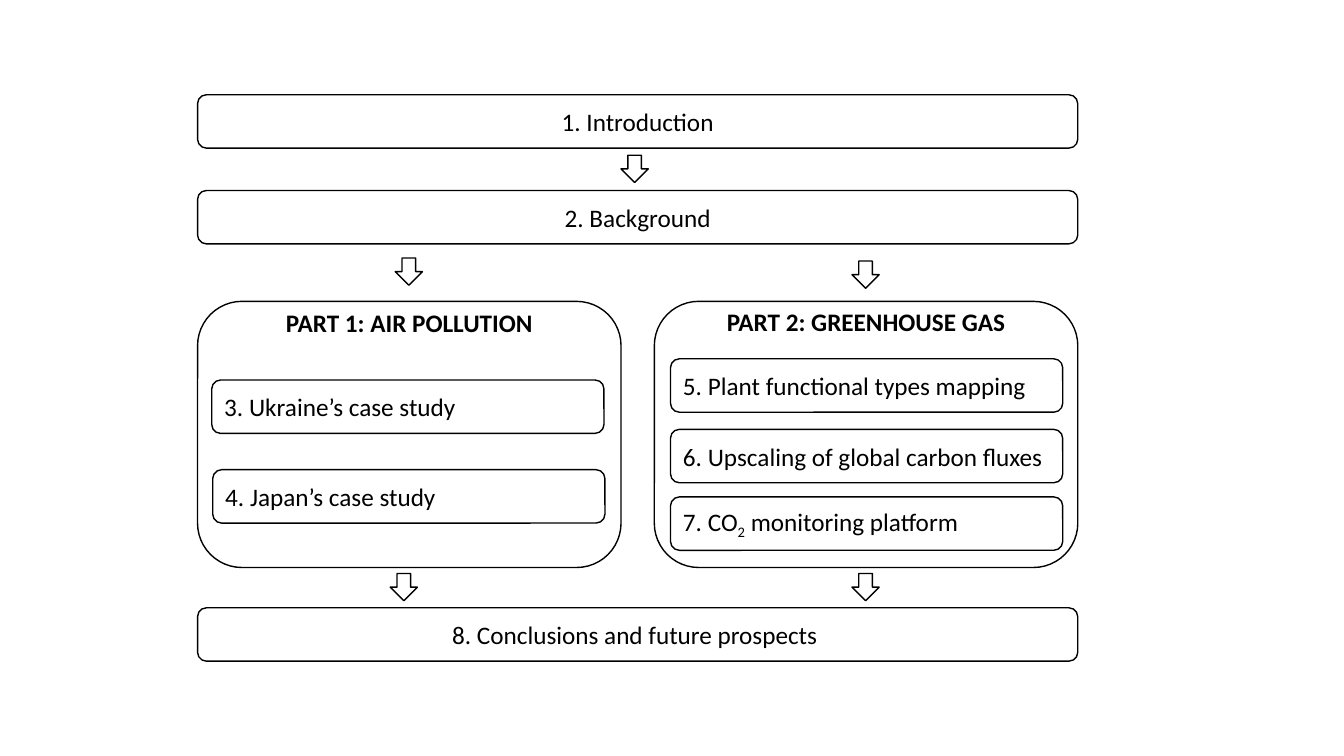
import pptx
import pptx.dml.color
import pptx.enum.shapes
import pptx.enum.text
import pptx.util

Inches = pptx.util.Inches
SHAPE = pptx.enum.shapes.MSO_SHAPE
ALIGN = pptx.enum.text.PP_ALIGN
ANCHOR = pptx.enum.text.MSO_ANCHOR
INK = "000000"
STEP_HEIGHT = 0.53
ARROW_SIZE = 0.27
LABEL_FORMAT = {"name": "Calibri", "size": pptx.util.Pt(18)}


def color(hex_value):
    """Turn a hex string into a colour."""
    return pptx.dml.color.RGBColor.from_string(hex_value)


def write_label(holder, pieces, align, bold=False):
    """Write normal and subscript pieces in turn as one line."""
    frame = holder.text_frame
    frame.word_wrap = True
    line = frame.paragraphs[0]
    line.alignment = align
    for index, piece in enumerate(pieces):
        run = line.add_run()
        run.text = piece
        for key, value in {**LABEL_FORMAT, "bold": bold}.items():
            setattr(run.font, key, value)
        run.font.color.rgb = color(INK)
        if index % 2:
            run._r.get_or_add_rPr().set("baseline", "-25000")


def add_outline(shapes, preset, left, top, width, height):
    """Add an unfilled shape with a thin dark outline."""
    outline = shapes.add_shape(preset, *map(Inches, (left, top, width, height)))
    outline.shadow.inherit = False
    outline.fill.background()
    outline.line.color.rgb = color(INK)
    outline.line.width = pptx.util.Pt(1)
    return outline


def add_step(shapes, left, top, width, pieces, align=ALIGN.CENTER):
    """Add one numbered chapter box."""
    step = add_outline(shapes, SHAPE.ROUNDED_RECTANGLE, left, top, width, STEP_HEIGHT)
    step.text_frame.vertical_anchor = ANCHOR.MIDDLE
    write_label(step, pieces, align)


def add_part(shapes, left, top, width, height, heading, heading_drop, chapters):
    """Add a part frame with its heading and chapters."""
    add_outline(shapes, SHAPE.ROUNDED_RECTANGLE, left, top, width, height)
    title = shapes.add_textbox(Inches(left + 0.16), Inches(top + heading_drop),
                               Inches(width - 0.32), Inches(0.4))
    write_label(title, [heading], ALIGN.CENTER, bold=True)
    for inset, drop, pieces in chapters:
        add_step(shapes, left + inset, top + drop, 3.89, pieces, ALIGN.LEFT)


def add_outline_flow(shapes, left, top, width):
    """Add the thesis flow from introduction to conclusions."""
    for drop, chapter in ((0, "1. Introduction"), (0.95, "2. Background"),
                          (5.09, "8. Conclusions and future prospects ")):
        add_step(shapes, left, top + drop, width, [chapter])

    part_width, part_height, part_top = 4.2, 2.64, top + 2.05
    add_part(shapes, left, part_top, part_width, part_height,
             "PART 1: AIR POLLUTION", 0.01,
             [(0.14, 0.78, ["3. Ukraine’s case study"]),
              (0.15, 1.67, ["4. Japan’s case study"])])
    add_part(shapes, left + width - part_width, part_top, part_width, part_height,
             "PART 2: GREENHOUSE GAS", 0,
             [(0.16, 0.57, ["5. Plant functional types mapping"]),
              (0.16, 1.27, ["6. Upscaling of global carbon fluxes"]),
              (0.16, 1.94, ["7. CO", "2", " monitoring platform"])])

    for shift, drop in ((4.2, 0.6), (1.96, 1.62), (6.49, 1.65), (1.91, 4.75), (6.49, 4.75)):
        add_outline(shapes, SHAPE.DOWN_ARROW, left + shift, top + drop, ARROW_SIZE, ARROW_SIZE)


deck = pptx.Presentation()
deck.slide_width, deck.slide_height = Inches(13.33), Inches(7.5)
slide = deck.slides.add_slide(deck.slide_layouts[6])
add_outline_flow(slide.shapes.add_group_shape().shapes, 1.96, 0.94, 8.73)
deck.save("out.pptx")
